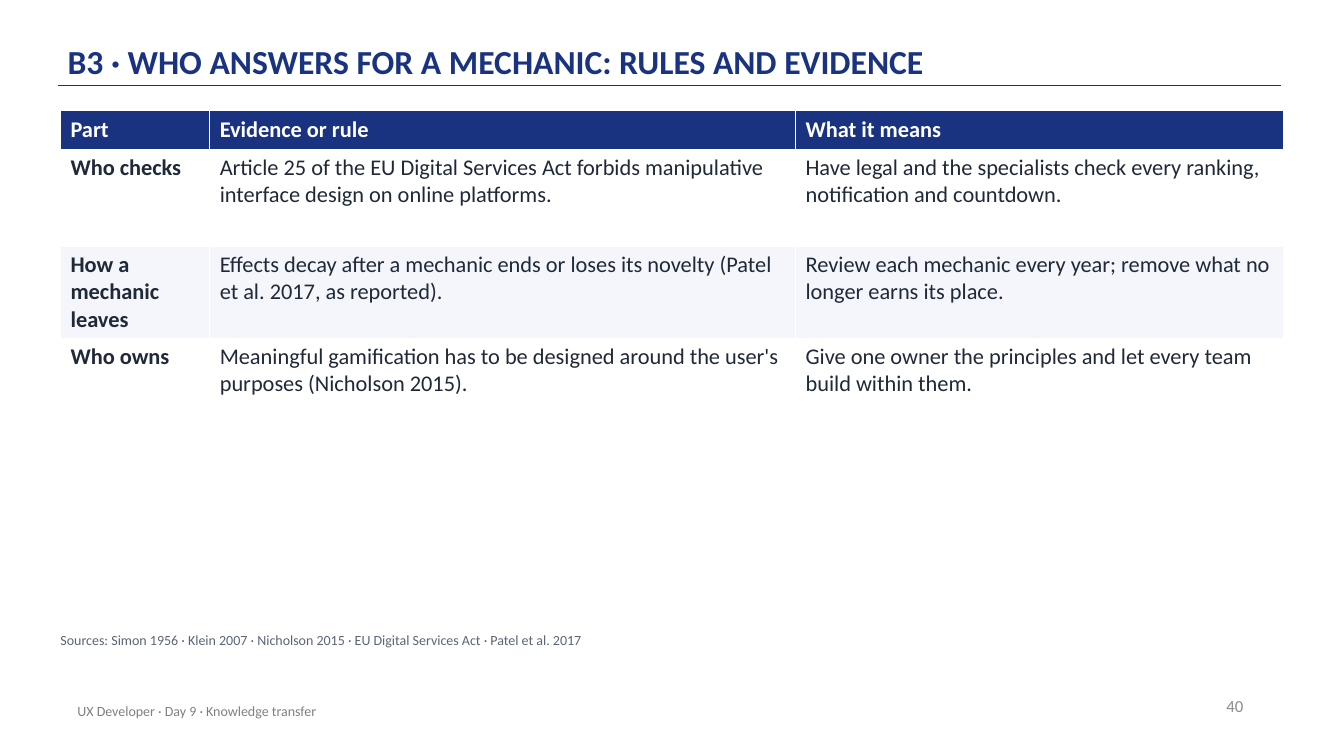
from dataclasses import dataclass

import lxml.etree
import pptx
import pptx.dml.color
import pptx.enum.shapes
import pptx.enum.text
import pptx.oxml.ns
import pptx.util

Inches = pptx.util.Inches
Pt = pptx.util.Pt
ANCHOR = pptx.enum.text.MSO_ANCHOR
ALIGN = pptx.enum.text.PP_ALIGN

FONT = "Calibri"
COLORS = {
    "navy": "1A3381",
    "white": "FFFFFF",
    "band": "F4F6FB",
    "ink": "1F2937",
    "source": "5B6577",
    "footer": "808080",
    "number": "8C8C8C",
}


@dataclass(frozen=True)
class Note:
    text: str
    left: float
    top: float
    width: float
    height: float
    size: float
    color: str
    align: ALIGN = ALIGN.LEFT
    anchor: ANCHOR = ANCHOR.MIDDLE
    inset: bool = True
    space_after: float = 0


@dataclass(frozen=True)
class Row:
    topic: str
    evidence: str
    meaning: str
    height: float
    fill: str


NOTES = [
    Note("40", 9.43, 6.8, 3, 0.4, 12, "number", align=ALIGN.RIGHT),
    Note("UX Developer · Day 9 · Knowledge transfer", 0.67, 6.85, 6.7, 0.4, 10, "footer"),
    Note("Sources: Simon 1956 · Klein 2007 · Nicholson 2015 · EU Digital Services Act · "
         "Patel et al. 2017", 0.6, 6.27, 12.1, 0.3, 10, "source",
         anchor=ANCHOR.TOP, inset=False, space_after=6),
]

COLUMN_WIDTHS = [1.48, 5.81, 4.84]
ROWS = [
    Row("Part", "Evidence or rule", "What it means", 0.38, "navy"),
    Row("Who checks",
        "Article 25 of the EU Digital Services Act forbids manipulative interface design "
        "on online platforms.",
        "Have legal and the specialists check every ranking, notification and countdown.",
        0.96, "white"),
    Row("How a mechanic leaves",
        "Effects decay after a mechanic ends or loses its novelty (Patel et al. 2017, "
        "as reported).",
        "Review each mechanic every year; remove what no longer earns its place.",
        0.69, "band"),
    Row("Who owns",
        "Meaningful gamification has to be designed around the user's purposes "
        "(Nicholson 2015).",
        "Give one owner the principles and let every team build within them.",
        0.69, "white"),
]


def rgb(name: str) -> pptx.dml.color.RGBColor:
    return pptx.dml.color.RGBColor.from_string(COLORS[name])


def add_run(paragraph, text: str, size: float, color: str, bold: bool = False) -> None:
    run = paragraph.add_run()
    run.text = text
    run.font.name = FONT
    run.font.size = Pt(size)
    run.font.bold = bold
    run.font.color.rgb = rgb(color)


def add_title(slide, text: str) -> None:
    title = slide.shapes.title
    title.left, title.top = Inches(0.67), Inches(0.12)
    title.width, title.height = Inches(11), Inches(0.72)
    frame = title.text_frame
    frame.word_wrap = True
    frame.auto_size = pptx.enum.text.MSO_AUTO_SIZE.NONE
    frame.vertical_anchor = ANCHOR.BOTTOM
    frame.margin_left = frame.margin_right = 0
    frame.margin_top = frame.margin_bottom = Inches(0.03)
    heading = frame.paragraphs[0]
    heading.alignment = ALIGN.LEFT
    heading.line_spacing = 0.9
    add_run(heading, text, 24, "navy", bold=True)


def add_title_rule(slide) -> None:
    rule = slide.shapes.add_connector(
        pptx.enum.shapes.MSO_CONNECTOR.STRAIGHT,
        Inches(12.71), Inches(0.85), Inches(0.58), Inches(0.85))
    rule.line.color.rgb = rgb("navy")
    rule.line.width = Pt(1)
    lxml.etree.SubElement(rule._element.spPr, pptx.oxml.ns.qn("a:effectLst"))


def add_note(slide, note: Note) -> None:
    box = slide.shapes.add_textbox(
        Inches(note.left), Inches(note.top), Inches(note.width), Inches(note.height))
    frame = box.text_frame
    frame.word_wrap = True
    frame.vertical_anchor = note.anchor
    if not note.inset:
        frame.margin_left = frame.margin_right = 0
        frame.margin_top = frame.margin_bottom = 0
    line = frame.paragraphs[0]
    line.alignment = note.align
    line.space_after = Pt(note.space_after)
    add_run(line, note.text, note.size, note.color)


def add_evidence_table(slide, rows: list[Row]) -> None:
    evidence = slide.shapes.add_table(
        len(rows), len(COLUMN_WIDTHS), Inches(0.6), Inches(1.1),
        Inches(sum(COLUMN_WIDTHS)), Inches(sum(row.height for row in rows))).table
    for column, width in zip(evidence.columns, COLUMN_WIDTHS):
        column.width = Inches(width)
    for row_index, row in enumerate(rows):
        evidence.rows[row_index].height = Inches(row.height)
        is_header = row_index == 0
        for column_index, text in enumerate((row.topic, row.evidence, row.meaning)):
            cell = evidence.cell(row_index, column_index)
            cell.fill.solid()
            cell.fill.fore_color.rgb = rgb(row.fill)
            add_run(cell.text_frame.paragraphs[0], text, 16,
                    "white" if is_header else "ink",
                    bold=is_header or column_index == 0)


def main() -> None:
    deck = pptx.Presentation()
    deck.slide_width, deck.slide_height = Inches(13.33), Inches(7.5)
    slide = deck.slides.add_slide(deck.slide_layouts.get_by_name("Title Only"))

    # Heading
    add_title_rule(slide)
    add_title(slide, "B3 · WHO ANSWERS FOR A MECHANIC: RULES AND EVIDENCE")

    # Rules and evidence
    add_evidence_table(slide, ROWS)

    # Page number, footer and sources
    for note in NOTES:
        add_note(slide, note)

    deck.save("out.pptx")


if __name__ == "__main__":
    main()
